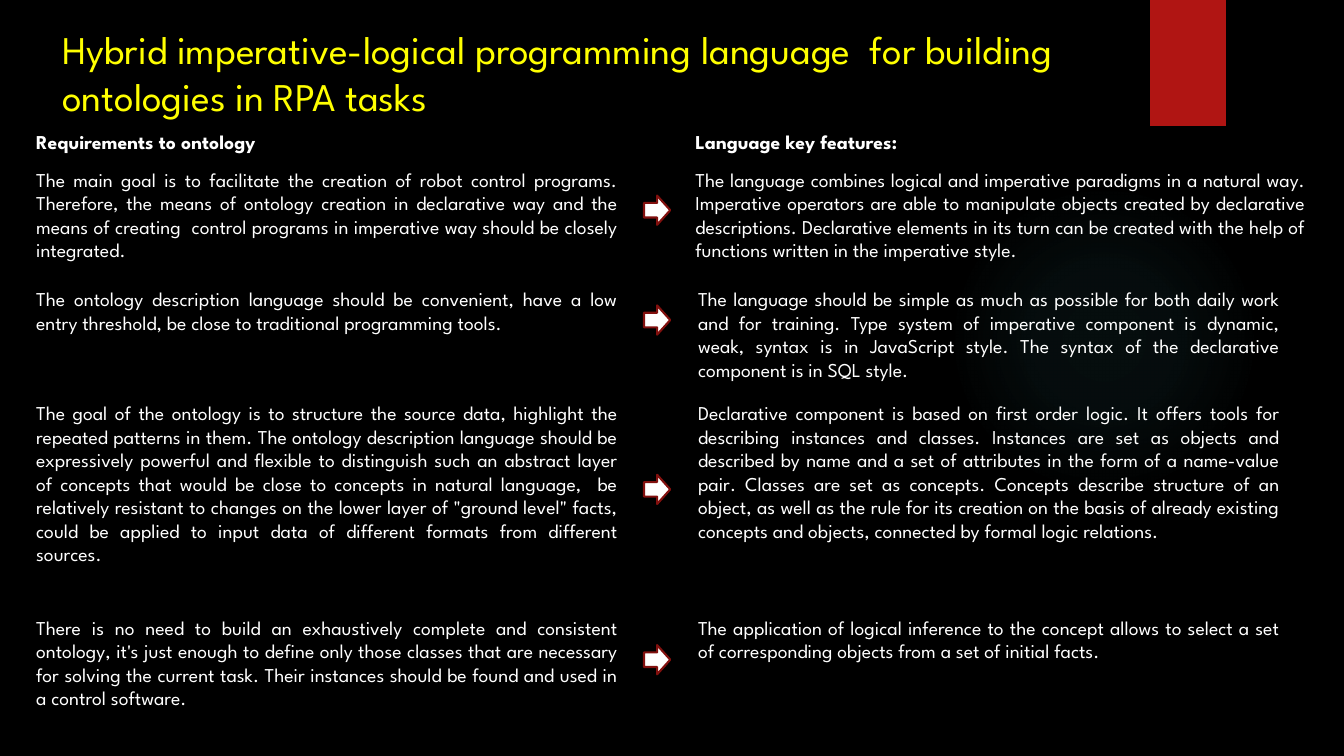
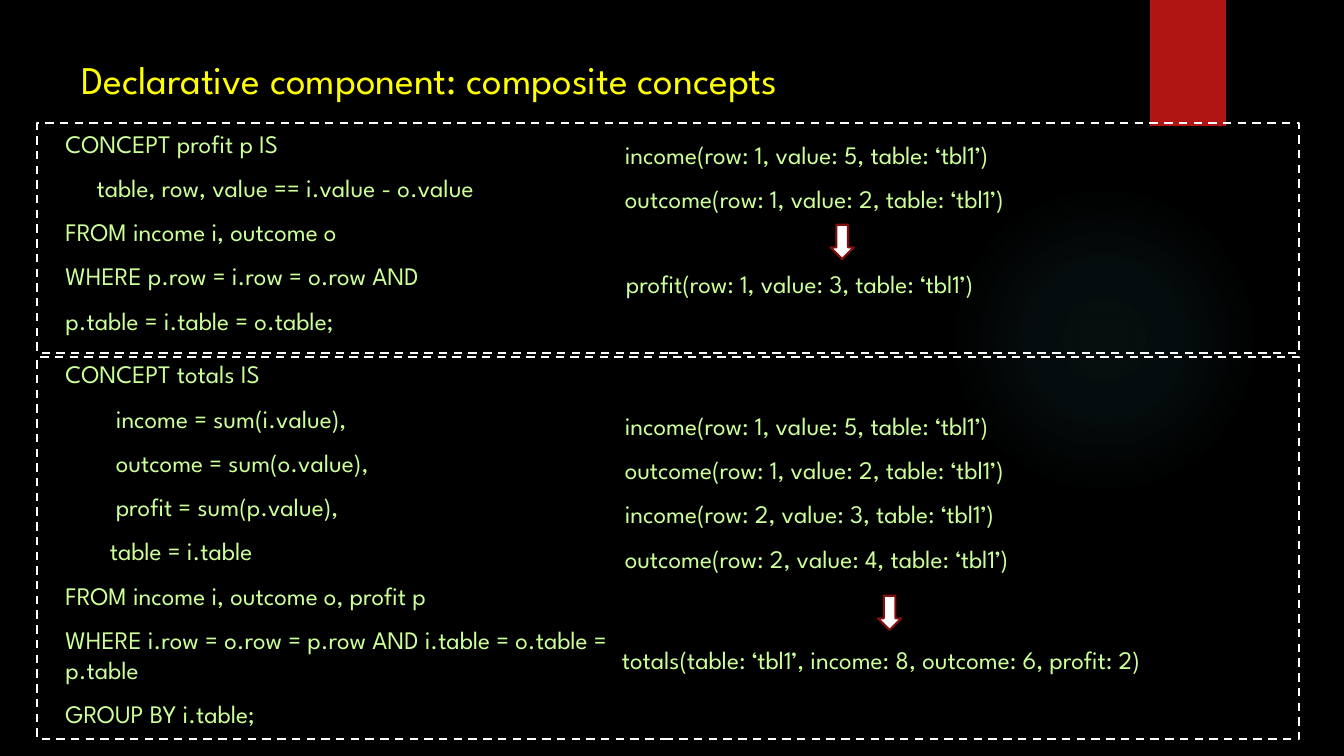
from lxml import etree
from pptx import Presentation
from pptx.dml.color import RGBColor
from pptx.enum.dml import MSO_LINE
from pptx.enum.shapes import MSO_SHAPE
from pptx.enum.text import PP_ALIGN
from pptx.oxml import parse_xml
from pptx.oxml.ns import qn
from pptx.util import Inches, Pt

RECTANGLE = MSO_SHAPE.RECTANGLE
ELLIPSE = MSO_SHAPE.OVAL
RIGHT_ARROW = MSO_SHAPE.RIGHT_ARROW
DOWN_ARROW = MSO_SHAPE.DOWN_ARROW
DASH = MSO_LINE.DASH
LEFT = PP_ALIGN.LEFT
JUSTIFY = PP_ALIGN.JUSTIFY

BLACK = RGBColor(0x00, 0x00, 0x00)
WHITE = RGBColor(0xFF, 0xFF, 0xFF)
YELLOW = RGBColor(0xFF, 0xFF, 0x00)
LIME = RGBColor(0xCC, 0xFF, 0x99)
RED = RGBColor(0xB0, 0x15, 0x13)
DARK_RED = RGBColor(0x82, 0x10, 0x0E)
TEAL = RGBColor(0x50, 0xB9, 0xC1)

FONT = "League Spartan"
GLOW_STOPS = ((0, 7), (36, 6), (69, 0))
DRAWING = "http://schemas.openxmlformats.org/drawingml/2006/main"


class SlideWriter:
    def __init__(self, deck):
        self.deck = deck
        deck.slide_width, deck.slide_height = Inches(13.333), Inches(7.5)
        background = deck.slide_master.background.fill
        background.solid()
        background.fore_color.rgb = BLACK
        self.page = None

    def place(self, left, top, width, height):
        across, down = self.deck.slide_width / 100, self.deck.slide_height / 100
        return (round(left * across), round(top * down),
                round(width * across), round(height * down))

    def start(self, title, area):
        self.page = self.deck.slides.add_slide(self.deck.slide_layouts[6])
        self.glow((70.58, 24.4, 23.1, 41.07))
        self.shape(RECTANGLE, (85.58, 0, 5.63, 16.67), fill=RED)
        self.text([title], area, size=28, color=YELLOW, before=0)

    def shape(self, kind, area, fill=None, line=None, dash=None):
        shape = self.page.shapes.add_shape(kind, *self.place(*area))
        shape.shadow.inherit = False
        if fill is None:
            shape.fill.background()
        else:
            shape.fill.solid()
            shape.fill.fore_color.rgb = fill
        if line is None:
            shape.line.fill.background()
        else:
            shape.line.color.rgb = line
            shape.line.width = Pt(1.5)
            shape.line.dash_style = dash
        return shape

    def glow(self, area):
        properties = self.shape(ELLIPSE, area)._element.spPr
        stops = "".join(
            f'<a:gs pos="{position * 1000}"><a:srgbClr val="{TEAL}">'
            f'<a:alpha val="{opacity * 1000}"/></a:srgbClr></a:gs>'
            for position, opacity in GLOW_STOPS)
        gradient = parse_xml(
            f'<a:gradFill xmlns:a="{DRAWING}"><a:gsLst>{stops}</a:gsLst>'
            '<a:path path="circle"/></a:gradFill>')
        etree.SubElement(gradient.find(qn("a:path")), qn("a:fillToRect"),
                         dict.fromkeys("ltrb", "50000"))
        properties.replace(properties.find(qn("a:noFill")), gradient)

    def arrow(self, kind, left, top):
        size = (1.95, 3.87) if kind == RIGHT_ARROW else (1.73, 4.53)
        self.shape(kind, (left, top, *size), fill=WHITE, line=DARK_RED)

    def frame(self, top, height):
        self.shape(RECTANGLE, (2.78, top, 93.9, height), line=WHITE, dash=DASH)

    def text(self, lines, area, size, color, align=LEFT, before=10,
             heading=False, indents=None):
        box = self.page.shapes.add_textbox(*self.place(*area))
        frame = box.text_frame
        frame.word_wrap = True
        frame.text = "\n".join(lines)
        for index, para in enumerate(frame.paragraphs):
            para.alignment = align
            para.space_before = Pt(before)
            indent = (indents or {}).get(index)
            if indent:
                para._p.get_or_add_pPr().set("marL", str(Inches(indent)))
            for span in para.runs:
                span.font.name = FONT
                span.font.size = Pt(size)
                span.font.color.rgb = color
                span.font.bold = heading and index == 0

    def prose(self, lines, area):
        self.text(lines, area, 14, WHITE, JUSTIFY, heading=len(lines) > 1)

    def code(self, lines, area, indents=None):
        self.text(lines, area, 18, LIME, indents=indents)


def language_slide(writer):
    writer.start(
        "Hybrid imperative-logical programming language  for building "
        "ontologies in RPA tasks", (3.9, 2.7, 84.9, 8.4))
    left, right, width = 1.95, 51.2, 44.78
    requirements = [
        (16.53, 18.8, [
            "Requirements to ontology",
            "The main goal is to facilitate the creation of robot control "
            "programs. Therefore, the means of ontology creation in "
            "declarative way and the means of creating  control programs in "
            "imperative way should be closely integrated."]),
        (37.33, 10.9, [
            "The ontology description language should be convenient, have a "
            "low entry threshold, be close to traditional programming tools."]),
        (52.4, 26.9, [
            "The goal of the ontology is to structure the source data, "
            "highlight the repeated patterns in them. The ontology "
            "description language should be expressively powerful and "
            "flexible to distinguish such an abstract layer of concepts that "
            "would be close to concepts in natural language,  be relatively "
            "resistant to changes on the lower layer of \"ground level\" "
            "facts, could be applied to input data of different formats from "
            "different sources."]),
        (80.8, 17.1, [
            "There is no need to build an exhaustively complete and "
            "consistent ontology, it's just enough to define only those "
            "classes that are necessary for solving the current task. Their "
            "instances should be found and used in a control software."]),
    ]
    for top, height, lines in requirements:
        writer.prose(lines, (left, top, width, height))

    features = [
        (51, 16.53, 46.9, 21.5, [
            "Language key features:",
            "The language combines logical and imperative paradigms in a "
            "natural way. Imperative operators are able to manipulate objects "
            "created by declarative descriptions. Declarative elements in its "
            "turn can be created with the help of functions written in the "
            "imperative style."]),
        (right, 37.33, width, 14.9, [
            "The language should be simple as much as possible for both daily "
            "work and for training. Type system of imperative component is "
            "dynamic, weak, syntax is in JavaScript style. The syntax of the "
            "declarative component is in SQL style."]),
        (right, 52.4, width, 25.7, [
            "Declarative component is based on first order logic. It offers "
            "tools for describing instances and classes. Instances are set as "
            "objects and described by name and a set of attributes in the "
            "form of a name-value pair. Classes are set as concepts. Concepts "
            "describe structure of an object, as well as the rule for its "
            "creation on the basis of already existing concepts and objects, "
            "connected by formal logic relations."]),
        (right, 80.8, width, 12.5, [
            "The application of logical inference to the concept allows to "
            "select a set of corresponding objects from a set of initial "
            "facts."]),
    ]
    for *area, lines in features:
        writer.prose(lines, area)
    for top in (25.87, 40.4, 62.8, 85.33):
        writer.arrow(RIGHT_ARROW, 47.92, top)


def fact(name, row, value):
    return f"{name}(row: {row}, value: {value}, table: ‘tbl1’)"


def concepts_slide(writer):
    writer.start("Declarative component: composite concepts",
                 (5.33, 6.67, 77.2, 9.6))
    code_left, code_width, fact_left = 4.13, 42.6, 45.75
    writer.code([
        "CONCEPT profit p IS",
        "table, row, value == i.value - o.value",
        "FROM income i, outcome o",
        "WHERE p.row = i.row = o.row AND",
        "p.table = i.table = o.table;",
    ], (code_left, 16.27, code_width, 30.27), {1: 0.31})
    writer.code([
        "CONCEPT totals IS",
        "income = sum(i.value),",
        "outcome = sum(o.value),",
        "profit = sum(p.value),",
        "table = i.table",
        "FROM income i, outcome o, profit p",
        "WHERE i.row = o.row = p.row AND i.table = o.table = p.table",
        "GROUP BY i.table;",
    ], (code_left, 46.8, code_width, 53.07), {1: 0.5, 2: 0.5, 3: 0.5, 4: 0.44})

    first_row = [fact("income", 1, 5), fact("outcome", 1, 2)]
    second_row = [fact("income", 2, 3), fact("outcome", 2, 4)]
    writer.code(first_row, (fact_left, 17.73, 50.85, 13.07))
    writer.code([fact("profit", 1, 3)], (45.83, 34.8, 37.5, 7.47))
    writer.code(first_row + second_row, (fact_left, 53.6, 47.25, 25.07))
    writer.code(["totals(table: ‘tbl1’, income: 8, outcome: 6, profit: 2)"],
                (45.53, 84.53, 49.9, 7.47))
    writer.arrow(DOWN_ARROW, 61.8, 29.73)
    writer.arrow(DOWN_ARROW, 65.33, 78.8)
    writer.frame(16.27, 30.4)
    writer.frame(47.2, 50.53)


def main():
    deck = Presentation()
    writer = SlideWriter(deck)
    language_slide(writer)
    concepts_slide(writer)
    deck.save("out.pptx")


if __name__ == "__main__":
    main()
